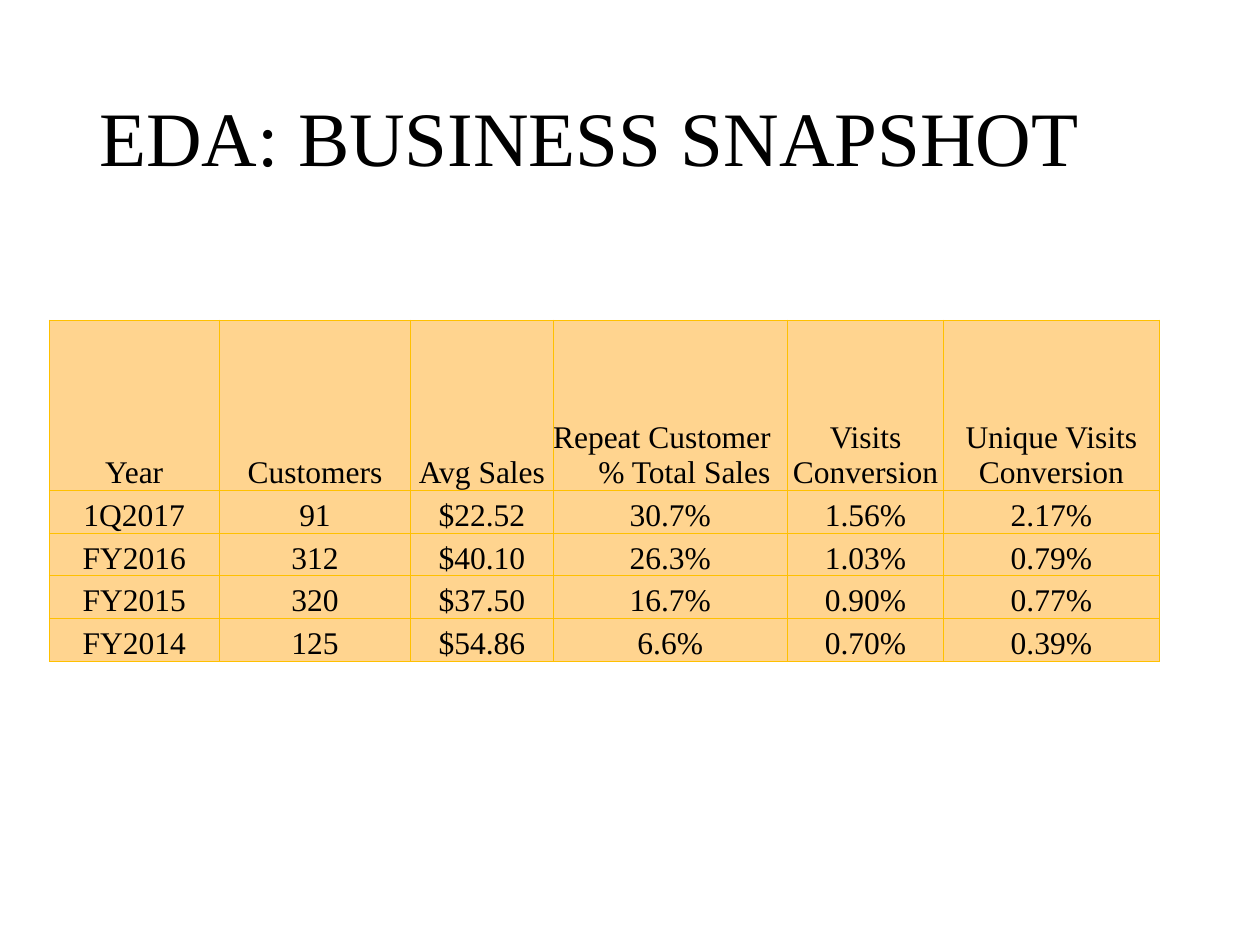
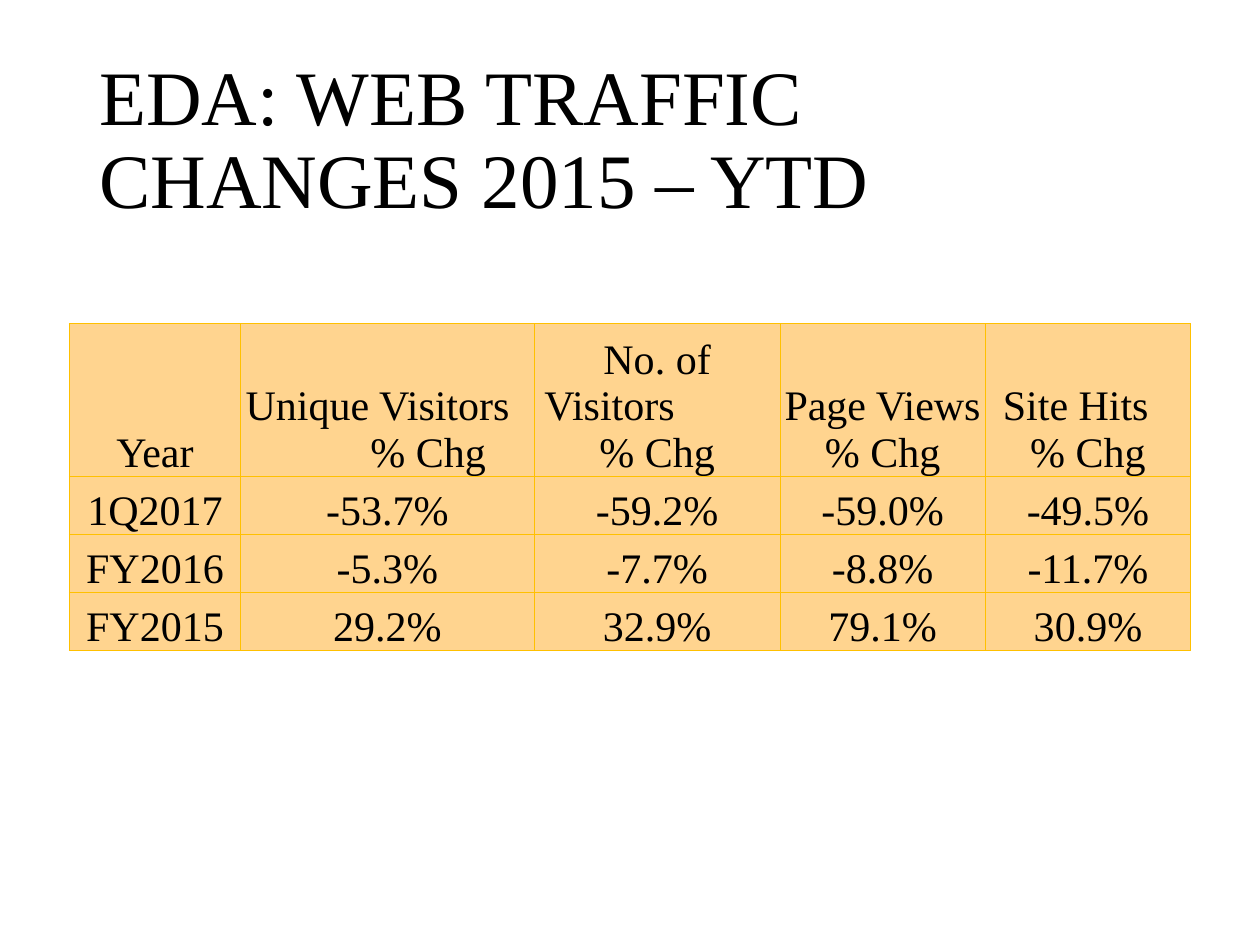
from dataclasses import dataclass
from lxml.etree import SubElement
from pptx import Presentation
from pptx.dml.color import RGBColor
from pptx.enum.text import MSO_ANCHOR, PP_ALIGN
from pptx.oxml.ns import qn
from pptx.util import Inches, Pt


@dataclass(frozen=True)
class Theme:
    font: str = "Times New Roman"
    ink: str = "000000"
    cell: str = "FFD48F"
    border: str = "FFC000"
    border_width: float = 0.5
    title_size: int = 44


theme = Theme()


def add_text(para, text, size):
    span = para.add_run()
    span.text = text
    span.font.name = theme.font
    span.font.size = Pt(size)
    span.font.color.rgb = RGBColor.from_string(theme.ink)


def add_borders(cell):
    properties = cell._tc.get_or_add_tcPr()
    for position, side in enumerate(("a:lnL", "a:lnR", "a:lnT", "a:lnB")):
        line = properties.makeelement(qn(side), w=str(Pt(theme.border_width)))
        fill = SubElement(line, qn("a:solidFill"))
        SubElement(fill, qn("a:srgbClr"), val=theme.border)
        properties.insert(position, line)


# Header cells list their lines; a (text, indent) pair is left-aligned
pages = [
    {
        "title": "EDA: BUSINESS SNAPSHOT",
        "left": 0.39, "top": 2.54, "size": 18, "margin": 0,
        "columns": [1.35, 1.52, 1.13, 1.86, 1.24, 1.71],
        "header_height": 1.35, "row_height": 0.34,
        "header": [
            ["Year"], ["Customers"], ["Avg Sales"],
            [("Repeat Customer", 0), ("% Total Sales", 0.36)],
            ["Visits Conversion"], ["Unique Visits", "Conversion"],
        ],
        "rows": [
            ["1Q2017", "91", "$22.52", "30.7%", "1.56%", "2.17%"],
            ["FY2016", "312", "$40.10", "26.3%", "1.03%", "0.79%"],
            ["FY2015", "320", "$37.50", "16.7%", "0.90%", "0.77%"],
            ["FY2014", "125", "$54.86", "6.6%", "0.70%", "0.39%"],
        ],
    },
    {
        "title": "EDA: WEB TRAFFIC CHANGES 2015 – YTD",
        "left": 0.55, "top": 2.57, "size": 24, "margin": 0.01,
        "columns": [1.36, 2.33, 1.95, 1.63, 1.63],
        "header_height": 1.11, "row_height": 0.46,
        "header": [
            ["Year"],
            [("Unique Visitors", 0.03), ("% Chg", 1.02)],
            ["No. of", ("Visitors", 0.07), "% Chg"],
            ["Page Views", "% Chg"],
            [("Site Hits", 0.13), "% Chg"],
        ],
        "rows": [
            ["1Q2017", "-53.7%", "-59.2%", "-59.0%", "-49.5%"],
            ["FY2016", "-5.3%", "-7.7%", "-8.8%", "-11.7%"],
            ["FY2015", "29.2%", "32.9%", "79.1%", "30.9%"],
        ],
    },
]

deck = Presentation()
deck.slide_width, deck.slide_height = Inches(10), Inches(7.5)

for content in pages:
    page = deck.slides.add_slide(deck.slide_layouts[6])

    # Title
    box = page.shapes.add_textbox(Inches(0.69), Inches(0.4), Inches(8.62), Inches(1.45))
    box.text_frame.word_wrap = True
    box.text_frame.vertical_anchor = MSO_ANCHOR.MIDDLE
    heading = box.text_frame.paragraphs[0]
    heading.line_spacing = 0.9
    add_text(heading, content["title"], theme.title_size)

    # Table grid
    columns = content["columns"]
    heights = [content["header_height"]] + [content["row_height"]] * len(content["rows"])
    table = page.shapes.add_table(
        len(heights), len(columns), Inches(content["left"]), Inches(content["top"]),
        Inches(sum(columns)), Inches(sum(heights))).table
    for column, width in zip(table.columns, columns):
        column.width = Inches(width)
    for row, height in zip(table.rows, heights):
        row.height = Inches(height)
    table.first_row = table.horz_banding = False

    # Table cells
    body = [[[value] for value in row] for row in content["rows"]]
    for row, row_lines in zip(table.rows, [content["header"]] + body):
        for cell, lines in zip(row.cells, row_lines):
            cell.margin_left = cell.margin_right = cell.margin_top = Inches(content["margin"])
            cell.margin_bottom = 0
            cell.vertical_anchor = MSO_ANCHOR.BOTTOM
            cell.fill.solid()
            cell.fill.fore_color.rgb = RGBColor.from_string(theme.cell)
            add_borders(cell)
            for number, line in enumerate(lines):
                frame = cell.text_frame
                para = frame.add_paragraph() if number else frame.paragraphs[0]
                if isinstance(line, tuple):
                    line, indent = line
                    para.alignment = PP_ALIGN.LEFT
                    para._p.get_or_add_pPr().set("marL", str(Inches(indent)))
                else:
                    para.alignment = PP_ALIGN.CENTER
                add_text(para, line, content["size"])

deck.save("out.pptx")
